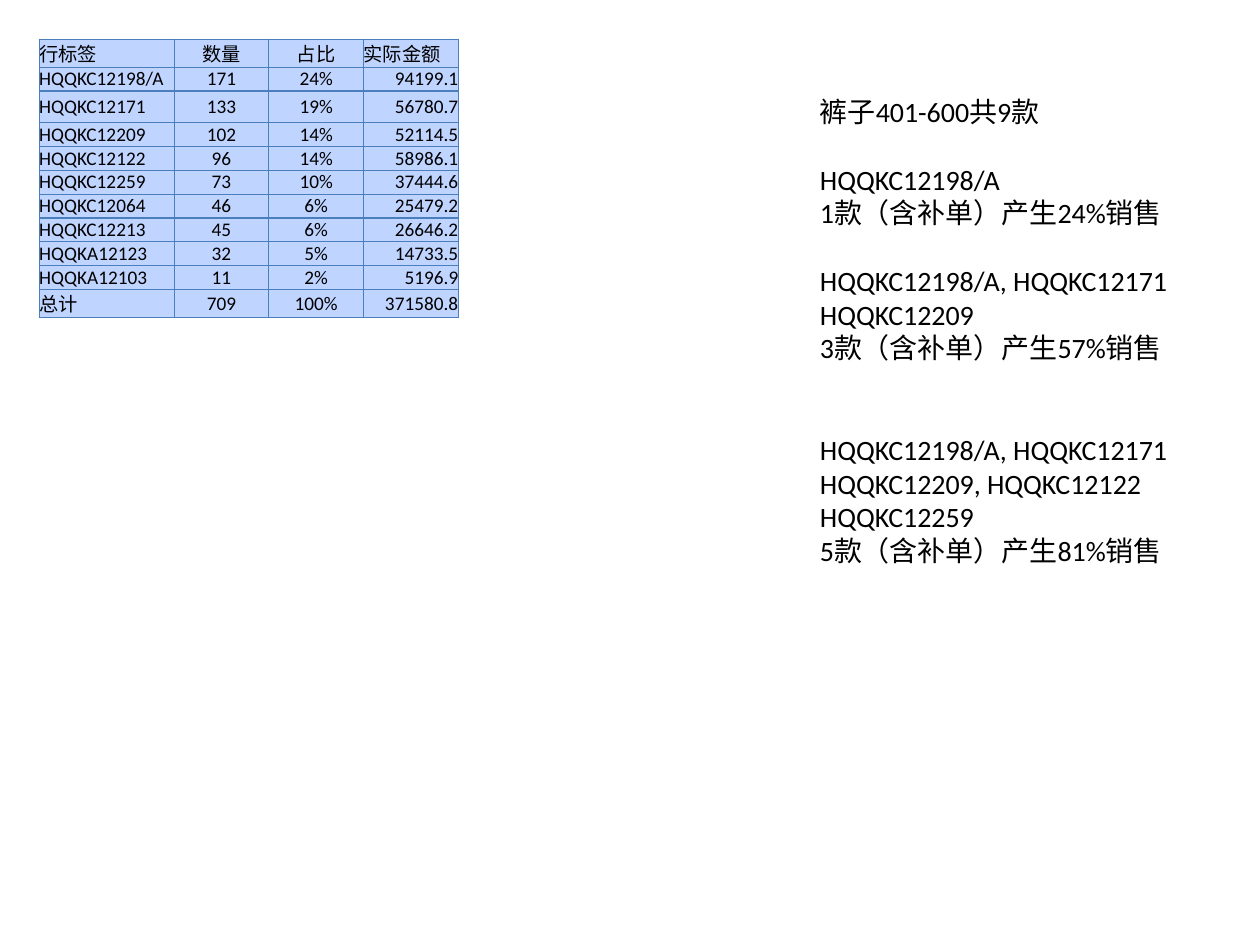
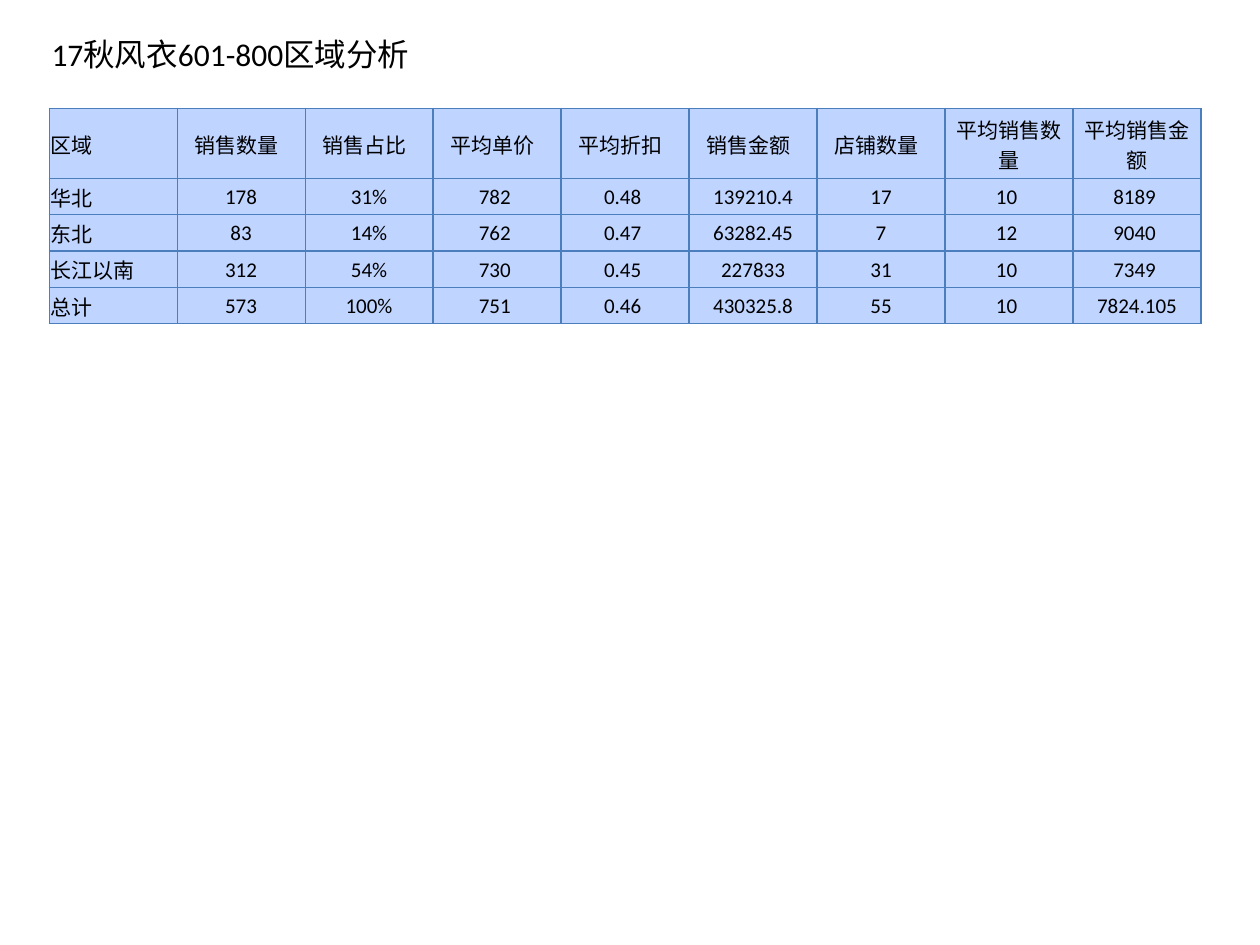
from lxml.etree import SubElement
from pptx import Presentation
from pptx.dml.color import RGBColor
from pptx.enum.text import MSO_ANCHOR, PP_ALIGN
from pptx.oxml.ns import qn
from pptx.util import Cm, Pt

# Shared look
FONT, INK, FILL, EDGE = "Calibri", "000000", "BFD4FF", "4B7EBC"
LEFT, MID, RIGHT = PP_ALIGN.LEFT, PP_ALIGN.CENTER, PP_ALIGN.RIGHT
LINE = 19.5  # height in points of one line of 16 pt text


def style(para, size, align=LEFT):
    para.alignment = align
    for run in para.runs:
        run.font.name = FONT
        run.font.size = Pt(size)
        run.font.color.rgb = RGBColor.from_string(INK)


def draw_table(slide, spot, rows, widths, heights, size, aligns, inset):
    frame = slide.shapes.add_table(len(rows), len(widths), *spot,
                                   Cm(sum(widths)), Cm(sum(heights)))
    table = frame.table
    table.first_row = table.horz_banding = False
    for col, width in zip(table.columns, widths):
        col.width = Cm(width)
    for line, height, row in zip(table.rows, heights, rows):
        line.height = Cm(height)
        for cell, text, align in zip(line.cells, row, aligns):
            cell.text_frame.text = text
            style(cell.text_frame.paragraphs[0], size, align)
            cell.vertical_anchor = MSO_ANCHOR.MIDDLE
            cell.margin_left = cell.margin_right = cell.margin_top = Cm(inset)
            cell.margin_bottom = 0
            # Borders come before the fill in the cell properties
            props = cell._tc.get_or_add_tcPr()
            for side in ("a:lnL", "a:lnR", "a:lnT", "a:lnB"):
                edge = SubElement(props, qn(side), w=str(Pt(0.75)))
                paint = SubElement(edge, qn("a:solidFill"))
                SubElement(paint, qn("a:srgbClr"), val=EDGE)
            cell.fill.solid()
            cell.fill.fore_color.rgb = RGBColor.from_string(FILL)
    return table


deck = Presentation()
deck.slide_width, deck.slide_height = Cm(25.4), Cm(19.05)
blank = deck.slide_layouts[6]

# Slide 1: trouser sales by style
slide = deck.slides.add_slide(blank)
sales = [
    ("行标签", "数量", "占比", "实际金额"),
    ("HQQKC12198/A", "171", "24%", "94199.1"),
    ("HQQKC12171", "133", "19%", "56780.7"),
    ("HQQKC12209", "102", "14%", "52114.5"),
    ("HQQKC12122", "96", "14%", "58986.1"),
    ("HQQKC12259", "73", "10%", "37444.6"),
    ("HQQKC12064", "46", "6%", "25479.2"),
    ("HQQKC12213", "45", "6%", "26646.2"),
    ("HQQKA12123", "32", "5%", "14733.5"),
    ("HQQKA12103", "11", "2%", "5196.9"),
    ("总计", "709", "100%", "371580.8"),
]
table = draw_table(slide, (Cm(0.79), Cm(0.79)), sales, [2.72] + [1.91] * 3,
                   [0.48] * 2 + [0.64] + [0.48] * 8, 11,
                   (LEFT, MID, MID, RIGHT), 0)
table.cell(0, 3).text_frame.paragraphs[0].alignment = LEFT

# Findings: blank lines before each paragraph, then its text
notes = [
    (0, "裤子401-600共9款"),
    (1, "HQQKC12198/A"),
    (0, "1款（含补单）产生24%销售"),
    (1, "HQQKC12198/A, HQQKC12171"),
    (0, "HQQKC12209"),
    (0, "3款（含补单）产生57%销售"),
    (2, "HQQKC12198/A, HQQKC12171"),
    (0, "HQQKC12209, HQQKC12122"),
    (0, "HQQKC12259"),
    (0, "5款（含补单）产生81%销售"),
]
box = slide.shapes.add_textbox(Cm(16.28), Cm(1.78), Cm(7.62), Cm(16.41))
frame = box.text_frame
frame.word_wrap = True
frame.text = "\n".join(text for gap, text in notes)
for para, (gap, text) in zip(frame.paragraphs, notes):
    style(para, 16)
    para.space_before = Pt(gap * LINE)

# Slide 2: coat sales by region
slide = deck.slides.add_slide(blank)
zones = [
    ("区域", "销售数量", "销售占比", "平均单价", "平均折扣", "销售金额",
     "店铺数量", "平均销售数量", "平均销售金额"),
    ("华北", "178", "31%", "782 ", "0.48 ", "139210.4", "17", "10 ", "8189 "),
    ("东北", "83", "14%", "762 ", "0.47 ", "63282.45", "7", "12 ", "9040 "),
    ("长江以南", "312", "54%", "730 ", "0.45 ", "227833", "31", "10 ", "7349 "),
    ("总计", "573", "100%", "751 ", "0.46 ", "430325.8", "55", "10 ", "7824.105"),
]
table = draw_table(slide, (Cm(0.99), Cm(2.18)), zones, [2.58] * 9,
                   [1.42] + [0.73] * 4, 12, [LEFT] + [MID] * 8, 0.03)

# Headings sit a little left of centre; long ones wrap evenly
for col, name in enumerate(zones[0][1:], 1):
    cell = table.cell(0, col)
    cell.margin_right = Cm(0.2)
    if len(name) > 4:
        cell.margin_left = Cm(0.2)

# Title
box = slide.shapes.add_textbox(Cm(0.79), Cm(0.58), Cm(7.8), Cm(1.02))
box.text_frame.word_wrap = True
box.text_frame.text = "17秋风衣601-800区域分析"
style(box.text_frame.paragraphs[0], 18)

deck.save("out.pptx")
